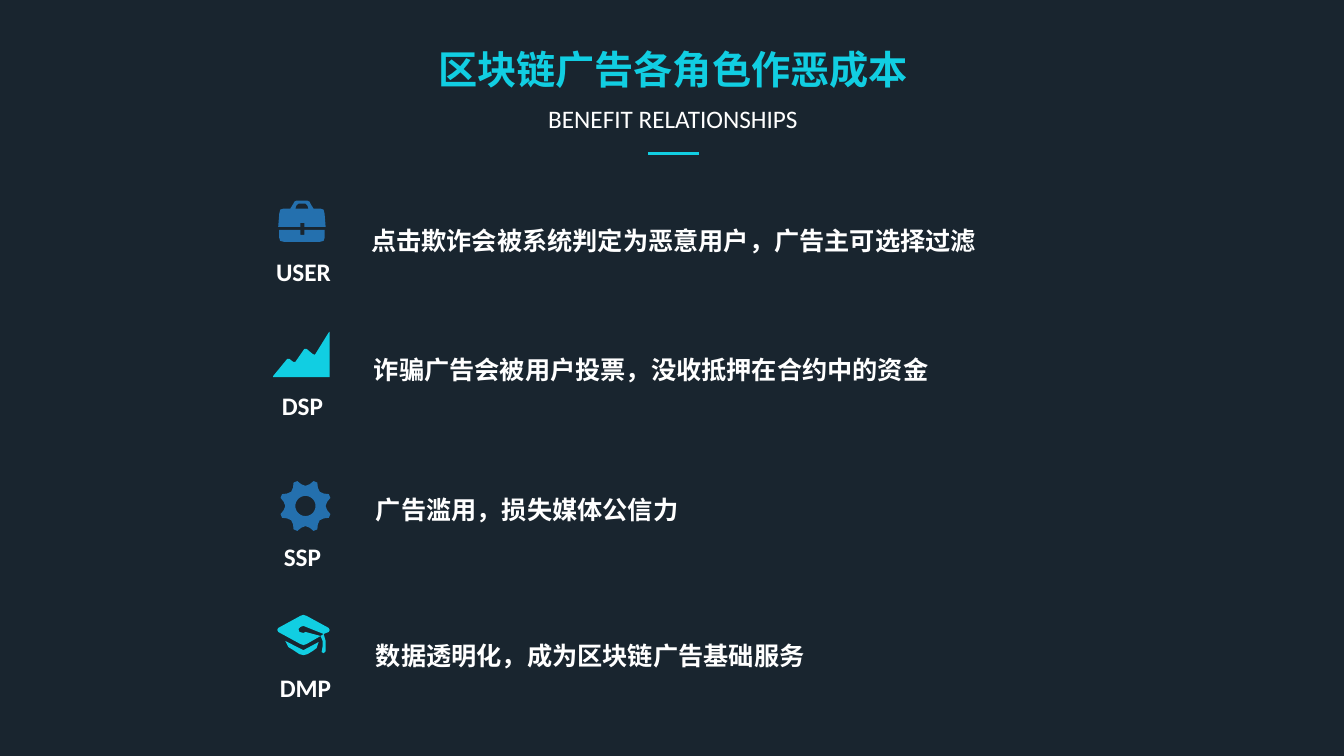
"""Builds the slide on the cost of misconduct for each blockchain advertising role."""
import math

from pptx import Presentation
from pptx import util as u
from pptx.dml.color import RGBColor
from pptx.enum import shapes, text
from pptx.oxml import parse_xml
from pptx.oxml.ns import nsdecls

COLORS = {"background": "19252F", "cyan": "11CEE2", "blue": "2470AE", "white": "FFFFFF"}

BRIEFCASE = [
    [(2.98, 2.21), (3.02, 2.21), (3.02, 2.25), (3.23, 2.25), (3.22, 2.12), (3.21, 2.08),
     (3.18, 2.07), (3.11, 2.07), (3.08, 2.02), (3.07, 2), (3.05, 1.99), (2.94, 1.99),
     (2.92, 2), (2.91, 2.02), (2.88, 2.07), (2.81, 2.07), (2.78, 2.08), (2.77, 2.12),
     (2.76, 2.25), (2.98, 2.25)],
    [(2.94, 2.04), (2.96, 2.02), (3.03, 2.02), (3.05, 2.04), (3.06, 2.07), (2.93, 2.07)],
    [(3.02, 2.33), (2.98, 2.33), (2.98, 2.28), (2.77, 2.28), (2.77, 2.36), (2.78, 2.39),
     (2.82, 2.4), (3.17, 2.4), (3.21, 2.39), (3.22, 2.36), (3.22, 2.28), (3.02, 2.28)],
]
AREA_CHART = [
    [(3.26, 3.3), (3.13, 3.51), (3.12, 3.52), (3.1, 3.51), (3.04, 3.46), (3.02, 3.46),
     (2.93, 3.59), (2.91, 3.59), (2.87, 3.56), (2.85, 3.56), (2.71, 3.73), (2.71, 3.74),
     (3.27, 3.74), (3.27, 3.29)],
]
GRADUATION_CAP = [
    [(2.83, 6.36), (2.86, 6.42), (2.91, 6.45), (2.97, 6.49), (3.01, 6.5), (3.05, 6.49),
     (3.1, 6.46), (3.14, 6.43), (3.16, 6.37), (3.01, 6.45)],
    [(3.26, 6.23), (3.04, 6.11), (3.01, 6.1), (2.98, 6.11), (2.76, 6.23), (2.75, 6.25),
     (2.76, 6.27), (2.98, 6.39), (3.01, 6.4), (3.04, 6.39), (3.18, 6.31), (3.03, 6.27),
     (3.01, 6.28), (2.97, 6.27), (2.96, 6.24), (2.98, 6.22), (3.01, 6.21), (3.06, 6.23),
     (3.21, 6.29), (3.26, 6.27), (3.27, 6.25)],
    [(3.19, 6.47), (3.21, 6.48), (3.23, 6.46), (3.23, 6.36), (3.21, 6.29), (3.18, 6.31),
     (3.2, 6.36), (3.2, 6.41)],
]


def polar(center, radius, degrees):
    angle = math.radians(degrees)
    return center[0] + radius * math.cos(angle), center[1] + radius * math.sin(angle)


def gear_outline(center):
    notch = [(-18, 0.26), (-11, 0.22), (0, 0.2), (11, 0.22), (18, 0.26)]
    rim = [polar(center, radius, 45 * tooth + offset)
           for tooth in range(8) for offset, radius in notch]
    hole = [polar(center, 0.1, -10 * step) for step in range(36)]
    return [rim, hole]


def color(name):
    return RGBColor.from_string(COLORS[name])


def write_text(shape, box, content, wrap=True, align=text.PP_ALIGN.CENTER, **changes):
    shape.left, shape.top, shape.width, shape.height = map(u.Inches, box)
    frame = shape.text_frame
    frame.text = content
    frame_format = {"word_wrap": wrap, "auto_size": text.MSO_AUTO_SIZE.SHAPE_TO_FIT_TEXT,
                    "vertical_anchor": text.MSO_ANCHOR.TOP}
    paragraph = frame.paragraphs[0]
    paragraph_format = {"alignment": align, "space_before": u.Pt(0)}
    font_format = {"name": "Calibri", "size": u.Pt(18), "bold": True} | changes
    tint = font_format.pop("tint", "white")
    for target, values in ((frame, frame_format), (paragraph, paragraph_format),
                           (paragraph.font, font_format)):
        for attribute, value in values.items():
            setattr(target, attribute, value)
    paragraph.font.color.rgb = color(tint)


def add_text(slide, box, content, **options):
    write_text(slide.shapes.add_textbox(0, 0, 0, 0), box, content, **options)


def add_icon(slide, contours, fill):
    contours = [[(u.Inches(x), u.Inches(y)) for x, y in contour] for contour in contours]
    builder = slide.shapes.build_freeform(*contours[0][0])
    builder.add_line_segments(contours[0][1:])
    for contour in contours[1:]:
        builder.move_to(*contour[0])
        builder.add_line_segments(contour[1:])
    shape = builder.convert_to_shape()
    shape.shadow.inherit = False
    shape.fill.solid()
    shape.fill.fore_color.rgb = color(fill)
    shape.line.fill.background()


def add_divider(slide, left, right, top):
    line = slide.shapes.add_connector(
        shapes.MSO_CONNECTOR.STRAIGHT, *map(u.Inches, (left, top, right, top)))
    line.line.width = u.Pt(2)
    line.line.color.rgb = color("cyan")
    line._element.spPr.append(parse_xml(f"<a:effectLst {nsdecls('a')}/>"))


def main():
    presentation = Presentation()
    presentation.slide_width = u.Inches(13.33)
    presentation.slide_height = u.Inches(7.5)
    slide = presentation.slides.add_slide(presentation.slide_layouts[0])
    slide.background.fill.solid()
    slide.background.fill.fore_color.rgb = color("background")

    write_text(slide.shapes.title, (4, 0.4, 5.35, 0.57), "区块链广告各角色作恶成本",
               size=u.Pt(28), tint="cyan")
    write_text(slide.placeholders[1], (3.4, 0.97, 6.55, 0.4), "BENEFIT RELATIONSHIPS",
               bold=False)
    add_divider(slide, 6.43, 6.93, 1.52)

    left, center = text.PP_ALIGN.LEFT, text.PP_ALIGN.CENTER
    roles = [
        ("USER", (2.01, 2.49), BRIEFCASE, "blue",
         "点击欺诈会被系统判定为恶意用户，广告主可选择过滤", (3.47, 2.19, 6.42), center),
        ("DSP", (2, 3.82), AREA_CHART, "cyan",
         "诈骗广告会被用户投票，没收抵押在合约中的资金", (3.61, 3.47, 5.76), left),
        ("SSP", (2, 5.32), gear_outline((3.03, 5.02)), "blue",
         "广告滥用，损失媒体公信力", (3.63, 4.85, 3.23), left),
        ("DMP", (2.03, 6.62), GRADUATION_CAP, "cyan",
         "数据透明化，成为区块链广告基础服务", (3.63, 6.3, 4.49), left),
    ]
    for role, corner, contours, fill, cost, place, align in roles:
        add_icon(slide, contours, fill)
        add_text(slide, (*corner, 2, 0.4), role)
        add_text(slide, (*place, 0.4), cost, wrap=False, align=align)
    presentation.save("out.pptx")


if __name__ == "__main__":
    main()
